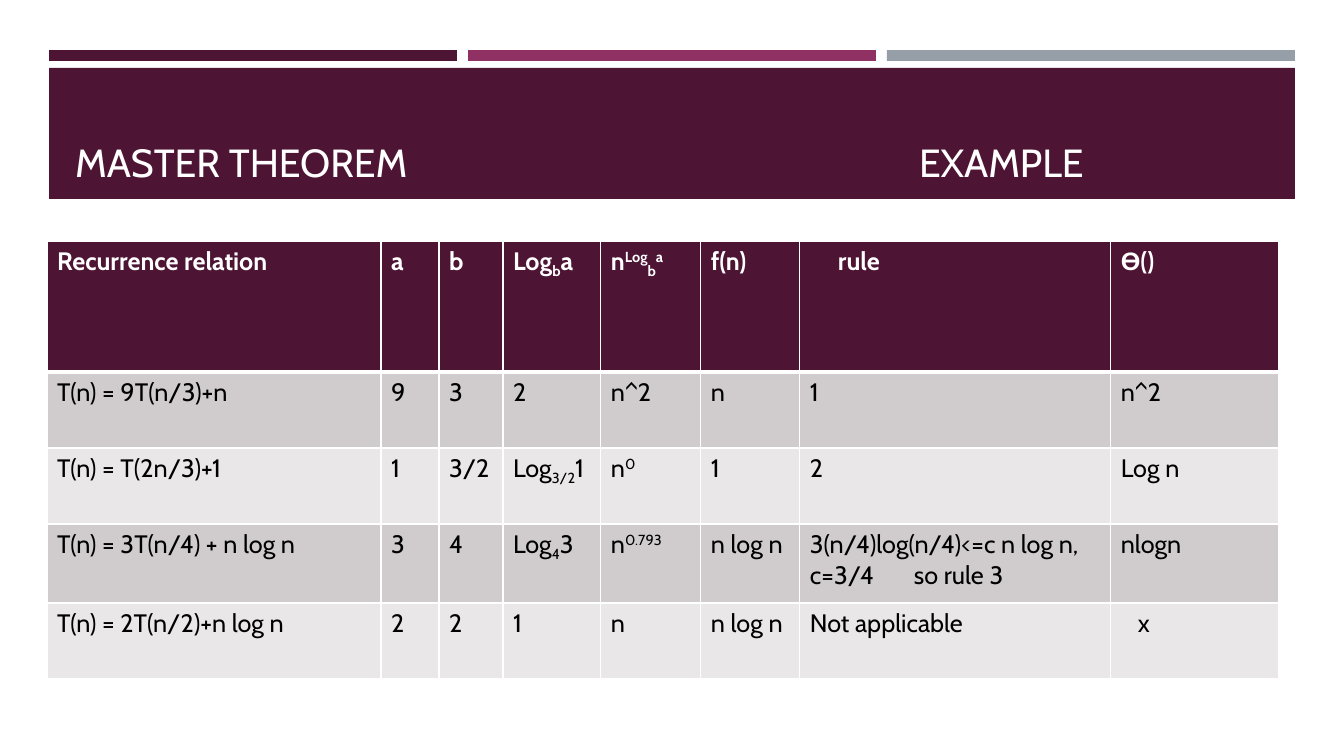
from pptx import Presentation, util as u
from pptx.dml.color import RGBColor
from pptx.enum import shapes, text
from pptx.oxml import parse_xml
from pptx.oxml.ns import nsdecls

SCALE = 914400 / 100.8  # EMU per pixel
SUB, SUPER = -25, 30    # baseline shifts in percent


def px(length):
    return u.Emu(round(length * SCALE))


def color(value):
    return RGBColor.from_string(value)


class SlideBuilder:
    FONT, SYMBOL_FONT = "Cabin", "Arial"
    PLUM, MAGENTA, GREY = "4D1434", "903163", "969FA7"
    WHITE, BLACK = "FFFFFF", "000000"
    BANDS = "D0CCCE", "E9E7E8"

    def __init__(self, presentation):
        self.slide = presentation.slides.add_slide(presentation.slide_layouts[5])

    def bar(self, left, top, width, height, fill):
        shape = self.slide.shapes.add_shape(
            shapes.MSO_SHAPE.RECTANGLE, px(left), px(top), px(width), px(height))
        shape.shadow.inherit = False
        shape.fill.solid()
        shape.fill.fore_color.rgb = color(fill)
        shape.line.fill.background()

    def style(self, paragraph, size, ink, bold=False, indent=0, tab=None):
        paragraph.alignment = text.PP_ALIGN.LEFT
        font = paragraph.font
        font.name, font.size, font.bold = self.FONT, u.Pt(size), bold
        font.color.rgb = color(ink)
        properties = paragraph._p.get_or_add_pPr()
        if indent:
            properties.set("marL", str(px(indent)))
        if tab:
            properties.insert(0, parse_xml(
                f'<a:tabLst {nsdecls("a")}><a:tab pos="{px(tab)}" algn="l"/></a:tabLst>'))

    def title(self, words, left, top, width, height, tab):
        shape = self.slide.shapes.title
        shape.left, shape.top, shape.width, shape.height = map(
            px, (left, top, width, height))
        frame = shape.text_frame
        frame.text = words
        frame.auto_size = text.MSO_AUTO_SIZE.NONE
        frame.vertical_anchor = text.MSO_ANCHOR.BOTTOM
        self.style(frame.paragraphs[0], 28, self.WHITE, tab=tab)
        # Bring the title in front of the bars
        self.slide.shapes._spTree.append(shape._element)

    def border(self, cell, side, width):
        cell._tc.get_or_add_tcPr().append(parse_xml(
            f'<a:ln{side} {nsdecls("a")} w="{u.Pt(width)}"><a:solidFill>'
            f'<a:srgbClr val="{self.WHITE}"/></a:solidFill></a:ln{side}>'))

    def cell(self, cell, content, row, indent=0, tab=None):
        header = row == 0
        # Borders come before the fill
        thick = {"B": 0, "T": 1}
        for side in "LRTB":
            self.border(cell, side, 3 if thick.get(side) == row else 1)
        cell.fill.solid()
        cell.fill.fore_color.rgb = color(
            self.PLUM if header else self.BANDS[(row - 1) % 2])
        # A list holds paragraphs, a tuple holds runs
        lines = content if isinstance(content, list) else [content]
        frame = cell.text_frame
        for number, line in enumerate(lines):
            paragraph = frame.add_paragraph() if number else frame.paragraphs[0]
            for part in line if isinstance(line, tuple) else (line,):
                words, shift = part if isinstance(part, tuple) else (part, 0)
                run = paragraph.add_run()
                run.text = words
                if shift:
                    run._r.get_or_add_rPr().set("baseline", str(shift * 1000))
                if words == "Ɵ":
                    run.font.name = self.SYMBOL_FONT
            self.style(paragraph, 18, self.WHITE if header else self.BLACK,
                       header, indent, tab)

    def table(self, left, top, widths, heights, rows, indents, tabs):
        table = self.slide.shapes.add_table(
            len(heights), len(widths), px(left), px(top),
            px(sum(widths)), px(sum(heights))).table
        table.horz_banding = False
        for column, width in zip(table.columns, widths):
            column.width = px(width)
        for row, height in zip(table.rows, heights):
            row.height = px(height)
        for r, row in enumerate(rows):
            for c, content in enumerate(row):
                self.cell(table.cell(r, c), content, r,
                          indents.get((r, c), 0), tabs.get((r, c)))


presentation = Presentation()
presentation.slide_width, presentation.slide_height = px(1344), px(756)
builder = SlideBuilder(presentation)

# Three accent bars above the title band
for index, fill in enumerate((builder.PLUM, builder.MAGENTA, builder.GREY)):
    builder.bar(49 + 419 * index, 50, 408, 11, fill)

# Title band
builder.bar(49, 68, 1246, 131, builder.PLUM)
builder.title("MASTER THEOREM\tEXAMPLE", 65, 78, 1216, 112, tab=844)

# Recurrence table
RECURRENCES = [
    ["Recurrence relation", "a", "b", ("Log", ("b", SUB), "a"),
     ("n", ("Log", SUPER), ("b", SUB), ("a", SUPER)), "f(n)", "rule", ("Ɵ", "()")],
    ["T(n) = 9T(n/3)+n", "9", "3", "2", "n^2", "n", "1", "n^2"],
    ["T(n) = T(2n/3)+1", "1", "3/2", ("Log", ("3/2", SUB), "1"),
     ("n", ("0", SUPER)), "1", "2", "Log n"],
    ["T(n) = 3T(n/4) + n log n", "3", "4", ("Log", ("4", SUB), "3"),
     ("n", ("0.793", SUPER)), "n log n",
     ["3(n/4)log(n/4)<=c n log n,", "c=3/4\tso rule 3"], "nlogn"],
    ["T(n) = 2T(n/2)+n log n", "2", "2", "1", "n", "n log n", "Not applicable", "x"],
]
builder.table(47, 241, (334, 58, 64, 98, 100, 99, 311, 168), (131, 76, 76, 79, 76),
              RECURRENCES, indents={(0, 6): 28, (4, 7): 17}, tabs={(3, 6): 104})

presentation.save("out.pptx")
